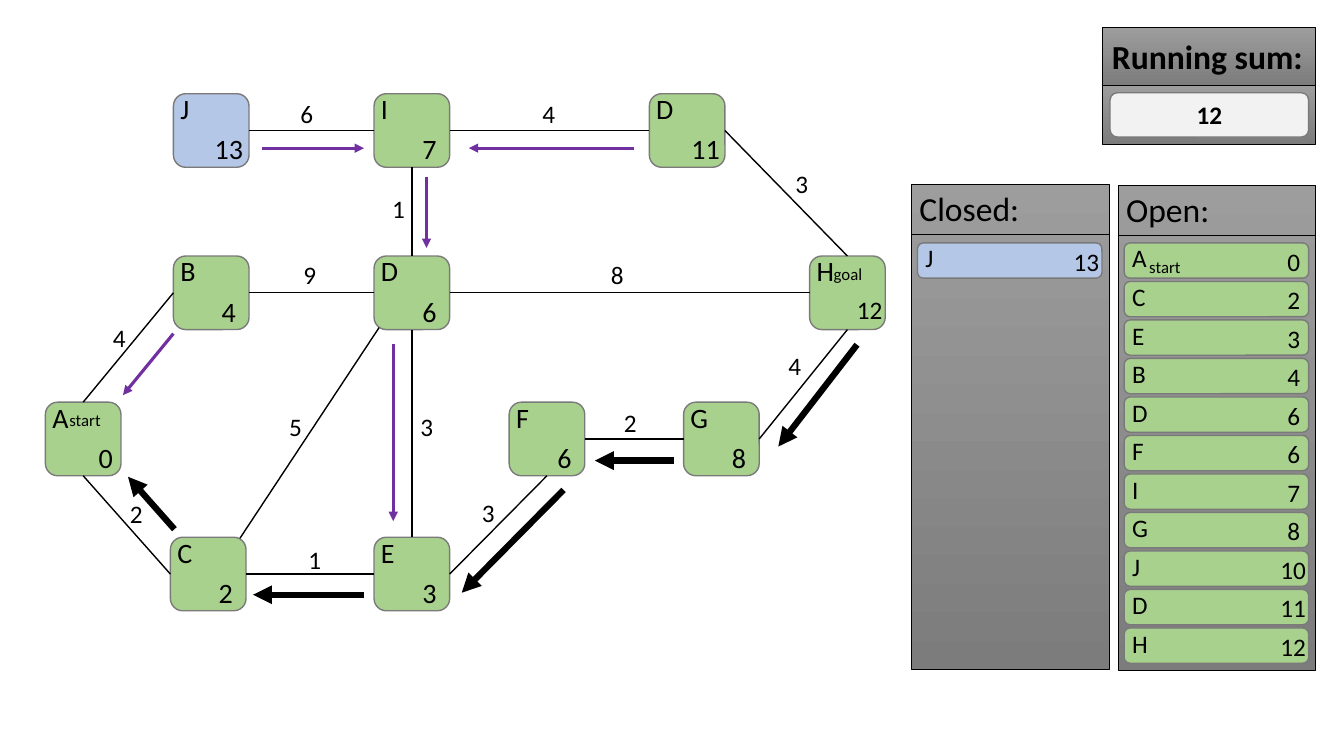
from lxml import etree
from pptx import Presentation
from pptx.dml.color import RGBColor
from pptx.enum.shapes import MSO_CONNECTOR, MSO_SHAPE
from pptx.enum.text import MSO_ANCHOR, PP_ALIGN
from pptx.oxml.ns import qn
from pptx.util import Inches, Pt

RECTANGLE, ROUNDED = MSO_SHAPE.RECTANGLE, MSO_SHAPE.ROUNDED_RECTANGLE
STRAIGHT = MSO_CONNECTOR.STRAIGHT
MIDDLE = MSO_ANCHOR.MIDDLE
LEFT, CENTER = PP_ALIGN.LEFT, PP_ALIGN.CENTER
TOP_SITE, LEFT_SITE, BOTTOM_SITE, RIGHT_SITE = range(4)

BLACK = RGBColor(0x00, 0x00, 0x00)
GREEN = RGBColor(0xA9, 0xD1, 0x8E)
BLUE = RGBColor(0xB4, 0xC7, 0xE7)
PURPLE = RGBColor(0x70, 0x30, 0xA0)
OUTLINE = RGBColor(0x7A, 0x7A, 0x7A)
PALE = RGBColor(0xF2, 0xF2, 0xF2)
PANEL_LIGHT = RGBColor(0x9D, 0x9D, 0x9D)
PANEL_DARK = RGBColor(0x7C, 0x7C, 0x7C)

presentation = Presentation()
presentation.slide_width = Inches(13.33)
presentation.slide_height = Inches(7.5)
slide = presentation.slides.add_slide(presentation.slide_layouts[6])


def add_box(left, top, width, height, color=None):
    kind = ROUNDED if color else RECTANGLE
    shape = slide.shapes.add_shape(kind, Inches(left), Inches(top), Inches(width), Inches(height))
    shape.shadow.inherit = False
    if color:
        shape.fill.solid()
        shape.fill.fore_color.rgb = color
    else:
        shape.fill.gradient()
        shape.fill.gradient_angle = 270
        for stop, stop_color in zip(shape.fill.gradient_stops, (PANEL_LIGHT, PANEL_DARK)):
            stop.color.rgb = stop_color
    shape.line.color.rgb = OUTLINE if color else BLACK
    shape.line.width = Pt(1 if color else 0.5)
    return shape


def write(text, size, left=0, top=0, width=0, height=0.4, box=None, align=LEFT):
    shape = box or slide.shapes.add_textbox(Inches(left), Inches(top), Inches(width), Inches(height))
    shape.text_frame.word_wrap = True
    if box:
        shape.text_frame.vertical_anchor = MIDDLE
    paragraph = shape.text_frame.paragraphs[0]
    paragraph.text = text
    paragraph.alignment = align
    paragraph.font.name = "Calibri"
    paragraph.font.size = Pt(size)
    paragraph.font.bold = box is not None
    paragraph.font.color.rgb = BLACK


NODE_WIDTH, NODE_HEIGHT = 0.75, 0.73
ROWS = [0.93, 2.54, 3.99, 5.33]
nodes = {}
for key, name, left, row, value, value_size, value_shift, note, color in [
    ("A", "A", 0.45, 2, "0", 20, 0.43, "start", GREEN),
    ("B", "B", 1.72, 1, "4", 20, 0.38, "", GREEN),
    ("C", "C", 1.69, 3, "2", 20, 0.38, "", GREEN),
    ("D", "D", 3.71, 1, "6", 20, 0.38, "", GREEN),
    ("E", "E", 3.71, 3, "3", 20, 0.38, "", GREEN),
    ("F", "F", 5.05, 2, "6", 20, 0.38, "", GREEN),
    ("G", "G", 6.78, 2, "8", 20, 0.38, "", GREEN),
    ("H", "H", 8.03, 1, "12", 18, 0.37, "goal", GREEN),
    ("I", "I", 3.71, 0, "7", 20, 0.38, "", GREEN),
    ("upper D", "D", 6.44, 0, "11", 20, 0.32, "", GREEN),
    ("J", "J", 1.72, 0, "13", 20, 0.31, "", BLUE),
]:
    top = ROWS[row]
    nodes[key] = add_box(left, top, NODE_WIDTH, NODE_HEIGHT, color)
    write(name, 20, left - 0.03, top - 0.07, 0.45, 0.44)
    write(value, value_size, left + value_shift, top + 0.33, 0.49, 0.44)
    if note:
        write(note, 12, left + 0.14, top + 0.03, 0.63, 0.3)

PANEL_WIDTH, PANEL_HEIGHT = 1.96, 4.81
ENTRY_WIDTH, ENTRY_HEIGHT, ENTRY_STEP = 1.83, 0.35, 0.382
open_entries = [("A", 0), ("C", 2), ("E", 3), ("B", 4), ("D", 6), ("F", 6),
                ("I", 7), ("G", 8), ("J", 10), ("D", 11), ("H", 12)]
lines = []
for title, left, top, color, entries in [
    ("Closed:", 9.04, 1.83, BLUE, [("J", 13)]),
    ("Open:", 11.09, 1.84, GREEN, open_entries),
]:
    add_box(left, top, PANEL_WIDTH, PANEL_HEIGHT)
    write(title, 24, left - 0.02, top - 0.01, 1.59, 0.5)
    lines.append((left, top + 0.5, left + PANEL_WIDTH, top + 0.5, BLACK, 0.5, False))
    for index, (name, value) in enumerate(entries):
        entry_top = 2.41 + index * ENTRY_STEP
        add_box(left + 0.06, entry_top, ENTRY_WIDTH, ENTRY_HEIGHT, color)
        write(name, 18, left + 0.04, entry_top - 0.05, 0.96)
        write(str(value), 18, left + (1.51 if value > 9 else 1.58), entry_top - 0.02, 0.46)
write("start", 12, 11.3, 2.5, 0.63, 0.3)

add_box(10.93, 0.85, 2.12, 0.58)
write("Running sum:", 24, box=add_box(10.93, 0.27, 2.12, 0.58))
write("12", 18, box=add_box(11.01, 0.92, 1.97, 0.44, PALE), align=CENTER)

connectors = []
for start, start_site, end, end_site, weight, left, top in [
    ("A", TOP_SITE, "B", LEFT_SITE, "4", 1.02, 3.15),
    ("A", BOTTOM_SITE, "C", LEFT_SITE, "2", 1.19, 4.89),
    ("B", RIGHT_SITE, "D", LEFT_SITE, "9", 2.91, 2.52),
    ("C", RIGHT_SITE, "E", LEFT_SITE, "1", 2.96, 5.35),
    ("D", RIGHT_SITE, "H", LEFT_SITE, "8", 5.96, 2.52),
    ("E", TOP_SITE, "D", BOTTOM_SITE, "3", 4.07, 4.03),
    ("E", RIGHT_SITE, "F", BOTTOM_SITE, "3", 4.68, 4.88),
    ("F", RIGHT_SITE, "G", LEFT_SITE, "2", 6.09, 3.99),
    ("G", RIGHT_SITE, "H", BOTTOM_SITE, "4", 7.72, 3.43),
    ("I", BOTTOM_SITE, "D", TOP_SITE, "1", 3.79, 1.87),
    ("I", RIGHT_SITE, "upper D", LEFT_SITE, "4", 5.28, 0.93),
    ("upper D", RIGHT_SITE, "H", TOP_SITE, "3", 7.79, 1.62),
    ("J", RIGHT_SITE, "I", LEFT_SITE, "6", 2.88, 0.93),
]:
    connector = slide.shapes.add_connector(STRAIGHT, 0, 0, 0, 0)
    connector.begin_connect(nodes[start], start_site)
    connector.end_connect(nodes[end], end_site)
    connectors.append((connector, BLACK, 1, False))
    write(weight, 18, left, top, 0.31)
write("5", 18, 2.77, 4.03, 0.31)

lines += [
    (2.38, 5.34, 3.76, 3.25, BLACK, 1, False),
    (1.73, 5.25, 1.27, 4.73, BLACK, 4.5, True),
    (3.61, 5.9, 2.51, 5.9, BLACK, 4.5, True),
    (5.59, 4.86, 4.58, 5.88, BLACK, 4.5, True),
    (6.68, 4.57, 5.9, 4.57, BLACK, 4.5, True),
    (8.5, 3.42, 7.72, 4.43, BLACK, 4.5, True),
    (1.72, 3.31, 1.22, 3.92, PURPLE, 2.25, True),
    (3.9, 3.41, 3.9, 5.17, PURPLE, 2.25, True),
    (4.23, 1.76, 4.23, 2.46, PURPLE, 2.25, True),
    (6.29, 1.47, 4.65, 1.47, PURPLE, 2.25, True),
    (2.6, 1.47, 3.61, 1.47, PURPLE, 2.25, True),
]
for *ends, color, weight, arrow in lines:
    connector = slide.shapes.add_connector(STRAIGHT, *map(Inches, ends))
    connectors.append((connector, color, weight, arrow))

for connector, color, weight, arrow in connectors:
    connector.line.color.rgb = color
    connector.line.width = Pt(weight)
    properties = connector._element.spPr
    if arrow:
        etree.SubElement(properties.find(qn("a:ln")), qn("a:tailEnd"), type="triangle")
    etree.SubElement(properties, qn("a:effectLst"))

presentation.save("out.pptx")
